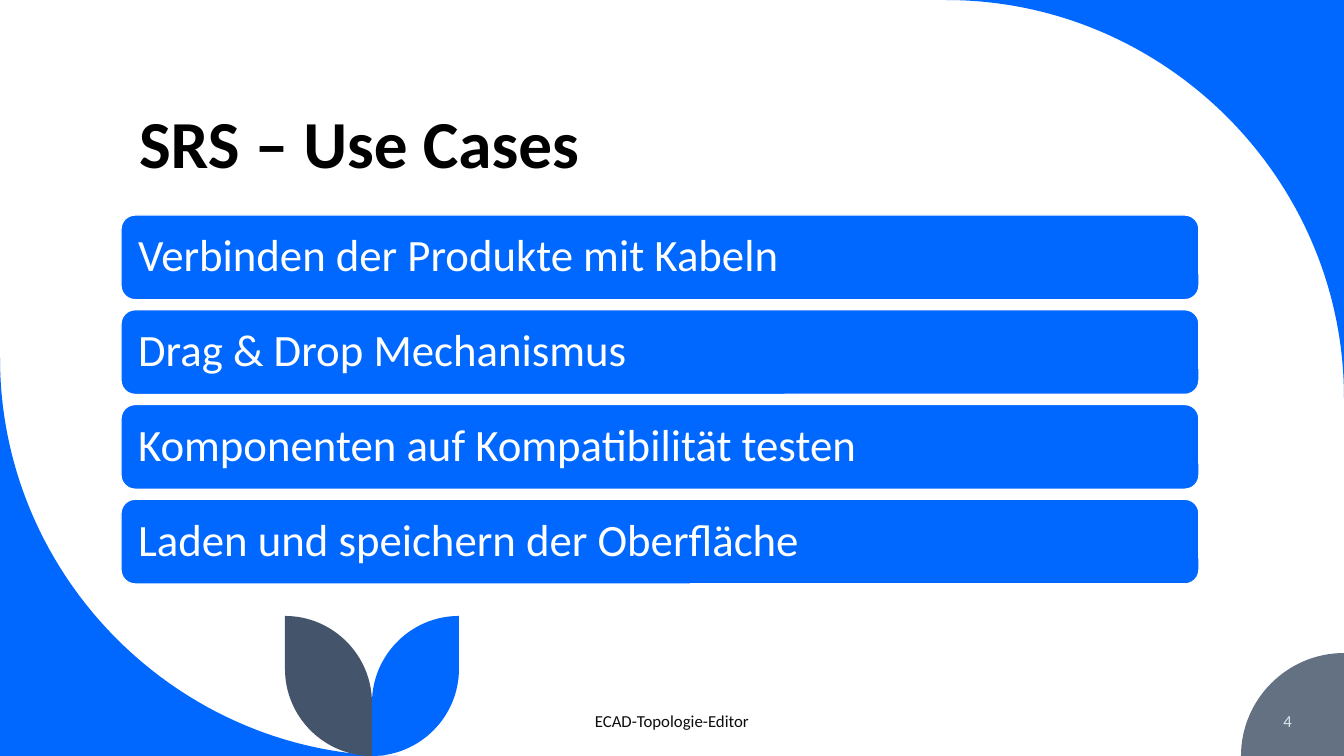
from dataclasses import dataclass

from lxml import etree
from pptx import Presentation
from pptx.dml.color import RGBColor
from pptx.enum.shapes import MSO_SHAPE
from pptx.enum.text import MSO_ANCHOR, PP_ALIGN
from pptx.oxml.ns import qn
from pptx.util import Pt

ROUND = MSO_SHAPE.ROUNDED_RECTANGLE
MID, LOW = MSO_ANCHOR.MIDDLE, MSO_ANCHOR.BOTTOM
LEFT, CENTER, RIGHT = PP_ALIGN.LEFT, PP_ALIGN.CENTER, PP_ALIGN.RIGHT
WIDE, HIGH = 1344, 756
BEND = 0.55  # handle length of a quarter circle, as a share of its radius
CASES = [
    "Verbinden der Produkte mit Kabeln",
    "Drag & Drop Mechanismus",
    "Komponenten auf Kompatibilität testen",
    "Laden und speichern der Oberfläche",
]


@dataclass(frozen=True)
class Theme:
    font: str = "Calibri"
    blue: str = "0068FF"
    slate: str = "44546A"
    gray: str = "637183"
    white: str = "FFFFFF"
    black: str = "000000"
    foot: str = "0D0D0D"
    pale: str = "DAE5EF"
    head: int = 48
    body: int = 32
    small: int = 12


THEME = Theme()


def px(n):
    """Turn pixels (100.8 to the inch) into EMU."""
    return round(n * 914400 / 100.8)


def rgb(code):
    return RGBColor.from_string(code)


def write(shape, text, size, color, align=LEFT, anchor=MID, pad=(10, 5), bold=False, lead=1.0):
    frame = shape.text_frame
    frame.word_wrap = True
    frame.vertical_anchor = anchor
    frame.margin_left = frame.margin_right = px(pad[0])
    frame.margin_top = frame.margin_bottom = px(pad[1])
    para = frame.paragraphs[0]
    para.alignment = align
    para.line_spacing = lead
    run = para.add_run()
    run.text = text
    font = run.font
    font.name, font.size, font.bold = THEME.font, Pt(size), bold
    font.color.rgb = rgb(color)


def label(slide, box, *args, **style):
    write(slide.shapes.add_textbox(*map(px, box)), *args, **style)


def paint(shape, color):
    shape.shadow.inherit = False
    shape.fill.solid()
    shape.fill.fore_color.rgb = rgb(color)


def arc(start, knee, end):
    """Handles and end of a quarter circle that bulges towards knee."""
    pulls = [tuple(a + BEND * (k - a) for a, k in zip(tip, knee)) for tip in (start, end)]
    return pulls + [end]


def outline(slide, start, steps, color):
    """Draw from start; a step is [point] for a line or an arc's three points."""
    dots = [(px(x), px(y)) for step in steps for x, y in step]
    pen = slide.shapes.build_freeform(px(start[0]), px(start[1]), scale=1.0)
    pen.add_line_segments(dots, close=True)
    shape = pen.convert_to_shape()
    paint(shape, color)
    shape.line.fill.background()
    # Merge the three points of each arc into one curve
    lines = iter(list(shape._element.iter(qn("a:lnTo"))))
    for step in steps:
        parts = [next(lines) for _ in step]
        if len(parts) == 3:
            curve = etree.Element(qn("a:cubicBezTo"))
            parts[0].addprevious(curve)
            for part in parts:
                curve.append(part[0])
                part.getparent().remove(part)


def wedge(slide, knee, start, end, color, hub=None):
    """Area between a quarter circle bulging towards knee and the point hub."""
    outline(slide, start, [arc(start, knee, end), [hub or knee]], color)


def leaf(slide, tip, root, color):
    (tx, ty), (rx, ry) = tip, root
    span = abs(tx - rx)
    low, high = (tx, ry - span), (rx, ty + span)
    steps = [[low], arc(low, (tx, ry), root), [high], arc(high, (rx, ty), tip)]
    outline(slide, tip, steps, color)


def decor(slide, box):
    x, y, w, h = box
    right, base, r, disc = x + w, y + h, 398, 103
    # Large swept corners
    wedge(slide, (right, y), (right, y + r), (right - r, y), THEME.blue)
    wedge(slide, (x, base), (x, base - r), (x + r, base), THEME.blue)
    # Quarter disc behind the slide number
    wedge(slide, (right - disc, base - disc), (right, base - disc), (right - disc, base),
          THEME.gray, hub=(right, base))
    # Pair of leaves
    stem, span, top = x + 372, 87, base - 140
    leaf(slide, (stem + span, top), (stem, base), THEME.blue)
    leaf(slide, (stem - span, top), (stem, base), THEME.slate)


def title(slide, box):
    label(slide, box, "SRS – Use Cases", THEME.head, THEME.black,
          anchor=LOW, bold=True, lead=0.9)


def cases(slide, box):
    x, y, w, h = box
    gap = 10
    tall = (h - gap * (len(CASES) - 1)) / len(CASES)
    for i, text in enumerate(CASES):
        bar = slide.shapes.add_shape(ROUND, px(x), px(y + i * (tall + gap)), px(w), px(tall))
        paint(bar, THEME.blue)
        bar.line.color.rgb = rgb(THEME.white)
        bar.line.width = Pt(1)
        write(bar, text, THEME.body, THEME.white, pad=(13, 13), lead=0.9)


def footer(slide, box):
    x, y, w, h = box
    label(slide, (x, y, 454, h), "ECAD-Topologie-Editor", THEME.small, THEME.foot, CENTER)
    label(slide, (x + w - 182, y, 182, h), "4", THEME.small, THEME.pale, RIGHT)


def main():
    deck = Presentation()
    deck.slide_width, deck.slide_height = px(WIDE), px(HIGH)
    slide = deck.slides.add_slide(deck.slide_layouts[6])
    decor(slide, (0, 0, WIDE, HIGH))
    title(slide, (129, 42, 1077, 146))
    footer(slide, (445, 701, 857, 40))
    cases(slide, (121, 215, 1078, 369))
    deck.save("out.pptx")


if __name__ == "__main__":
    main()
